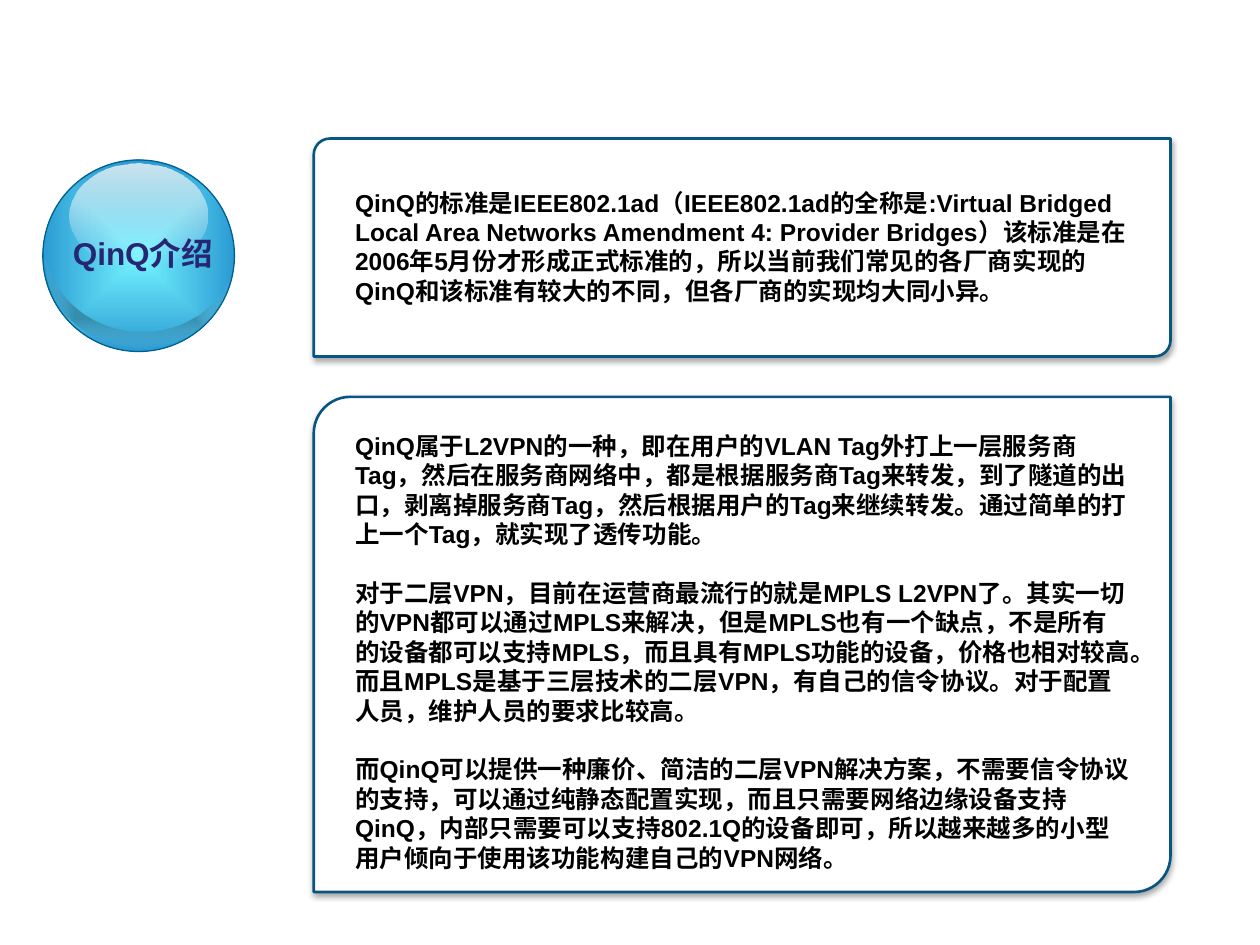
from dataclasses import dataclass

from lxml import etree
from pptx import Presentation
from pptx.dml.color import RGBColor
from pptx.enum import shapes, text
from pptx.oxml import ns
from pptx.util import Inches, Pt

BLACK = RGBColor(0x00, 0x00, 0x00)
WHITE = RGBColor(0xFF, 0xFF, 0xFF)
WARM_WHITE = RGBColor(0xFF, 0xFC, 0xF9)
AQUA = RGBColor(0x74, 0xF4, 0xFF)
OCEAN = RGBColor(0x20, 0x8E, 0xCD)
BALL_EDGE = RGBColor(0x00, 0x61, 0x8E)
PANEL_EDGE = RGBColor(0x23, 0xA5, 0xF1)
NAVY = RGBColor(0x26, 0x26, 0x73)

FONT = "Arial"
PANEL_LEFT, PANEL_WIDTH = 2.49, 6.8
TEXT_LEFT, TEXT_WIDTH = 2.72, 6.36


@dataclass
class Stop:
    position: int
    color: RGBColor
    opacity: int = 100


@dataclass
class BallLayer:
    preset: shapes.MSO_SHAPE
    box: tuple[float, float, float, float]
    stops: list[Stop]
    rotation: float = 0
    linear_angle: int | None = None
    edge: RGBColor | None = None
    adjustment: float | None = None


@dataclass
class Panel:
    top: float
    height: float
    text_top: float
    text_height: float
    paragraphs: list[str]


BALL_LAYERS = [
    BallLayer(shapes.MSO_SHAPE.OVAL, (0.34, 1.27, 1.52, 1.52),
              [Stop(0, AQUA), Stop(100, OCEAN)], rotation=350.9, edge=BALL_EDGE),
    BallLayer(shapes.MSO_SHAPE.OVAL, (0.55, 1.3, 1.1, 0.82),
              [Stop(0, WHITE, 0), Stop(100, WARM_WHITE, 77)], linear_angle=270),
    BallLayer(shapes.MSO_SHAPE.MOON, (0.73, 1.68, 0.67, 1.48),
              [Stop(24, BLACK, 24), Stop(100, WHITE, 0)], rotation=275.9, adjustment=0.19),
]

PANELS = [
    Panel(1.1, 1.73, 1.44, 1.04, [
        "QinQ的标准是IEEE802.1ad（IEEE802.1ad的全称是:Virtual Bridged Local Area Networks "
        "Amendment 4: Provider Bridges）该标准是在2006年5月份才形成正式标准的，所以当前我们常见的各"
        "厂商实现的QinQ和该标准有较大的不同，但各厂商的实现均大同小异。",
    ]),
    Panel(3.15, 3.93, 3.37, 3.64, [
        "QinQ属于L2VPN的一种，即在用户的VLAN Tag外打上一层服务商Tag，然后在服务商网络中，"
        "都是根据服务商Tag来转发，到了隧道的出口，剥离掉服务商Tag，然后根据用户的Tag来继续转发。"
        "通过简单的打上一个Tag，就实现了透传功能。",
        "对于二层VPN，目前在运营商最流行的就是MPLS L2VPN了。其实一切的VPN都可以通过MPLS来解决，"
        "但是MPLS也有一个缺点，不是所有的设备都可以支持MPLS，而且具有MPLS功能的设备，价格也相对较高。"
        "而且MPLS是基于三层技术的二层VPN，有自己的信令协议。对于配置人员，维护人员的要求比较高。",
        "而QinQ可以提供一种廉价、简洁的二层VPN解决方案，不需要信令协议的支持，可以通过纯静态配置实现，"
        "而且只需要网络边缘设备支持QinQ，内部只需要可以支持802.1Q的设备即可，"
        "所以越来越多的小型用户倾向于使用该功能构建自己的VPN网络。",
    ]),
]


def add_element(parent, tag: str, **attributes):
    element = etree.SubElement(parent, ns.qn(tag))
    for name, value in attributes.items():
        element.set(name, str(value))
    return element


def add_color(parent, color: RGBColor, opacity: int) -> None:
    srgb = add_element(parent, "a:srgbClr", val=color)
    if opacity < 100:
        add_element(srgb, "a:alpha", val=opacity * 1000)


def set_gradient(shape, layer: BallLayer) -> None:
    """Fill along linear_angle, or from the centre outwards when it is None."""
    shape.fill.gradient()
    gradient = shape._element.spPr.find(ns.qn("a:gradFill"))
    for child in list(gradient):
        gradient.remove(child)
    stop_list = add_element(gradient, "a:gsLst")
    for stop in layer.stops:
        add_color(add_element(stop_list, "a:gs", pos=stop.position * 1000),
                  stop.color, stop.opacity)
    if layer.linear_angle is None:
        centre = add_element(gradient, "a:path", path="shape")
        add_element(centre, "a:fillToRect", **dict.fromkeys("ltrb", 50000))
    else:
        add_element(gradient, "a:lin", ang=layer.linear_angle * 60000, scaled=1)


def add_ball_layer(slide, layer: BallLayer) -> None:
    shape = slide.shapes.add_shape(layer.preset, *map(Inches, layer.box))
    shape.shadow.inherit = False
    shape.rotation = layer.rotation
    if layer.adjustment is not None:
        shape.adjustments[0] = layer.adjustment
    set_gradient(shape, layer)
    if layer.edge is None:
        shape.line.fill.background()
    else:
        shape.line.color.rgb = layer.edge
        shape.line.width = Pt(0.75)


def add_text(slide, box: tuple[float, float, float, float], paragraphs: list[str],
             size: int, color: RGBColor, gap: float = 0, indent: float = 0) -> None:
    frame = slide.shapes.add_textbox(*map(Inches, box)).text_frame
    frame.word_wrap = True
    frame.auto_size = text.MSO_AUTO_SIZE.SHAPE_TO_FIT_TEXT
    font_format = {"name": FONT, "size": Pt(size), "bold": True}
    for index, wording in enumerate(paragraphs):
        paragraph = frame.paragraphs[0] if index == 0 else frame.add_paragraph()
        if index:
            paragraph.space_before = Pt(gap)
        if indent:
            paragraph._p.get_or_add_pPr().set("indent", str(Inches(indent)))
        run = paragraph.add_run()
        run.text = wording
        for name, value in font_format.items():
            setattr(run.font, name, value)
        run.font.color.rgb = color


def add_panel(slide, panel: Panel) -> None:
    frame = slide.shapes.add_shape(
        shapes.MSO_SHAPE.ROUND_2_DIAG_RECTANGLE,
        *map(Inches, (PANEL_LEFT, panel.top, PANEL_WIDTH, panel.height)))
    frame.adjustments[0] = 0.074
    frame.adjustments[1] = 0
    frame.fill.solid()
    frame.fill.fore_color.rgb = WHITE
    frame.line.color.rgb = PANEL_EDGE
    frame.line.color.brightness = -0.5
    frame.line.width = Pt(1.5)
    frame.shadow.inherit = False
    effects = frame._element.spPr.find(ns.qn("a:effectLst"))
    shadow = add_element(effects, "a:outerShdw", blurRad=Pt(3.1), dist=Pt(1.8),
                         dir=90 * 60000, rotWithShape=0)
    add_color(shadow, BLACK, 35)
    add_text(slide, (TEXT_LEFT, panel.text_top, TEXT_WIDTH, panel.text_height),
             panel.paragraphs, 14, BLACK, gap=16.8)


def main() -> None:
    deck = Presentation()
    deck.slide_width, deck.slide_height = Inches(10), Inches(7.5)
    slide = deck.slides.add_slide(deck.slide_layouts[6])
    for layer in BALL_LAYERS:
        add_ball_layer(slide, layer)
    add_text(slide, (0.41, 1.81, 1.4, 0.4), ["QinQ介绍"], 18, NAVY, indent=0.07)
    for panel in PANELS:
        add_panel(slide, panel)
    deck.save("out.pptx")


if __name__ == "__main__":
    main()
